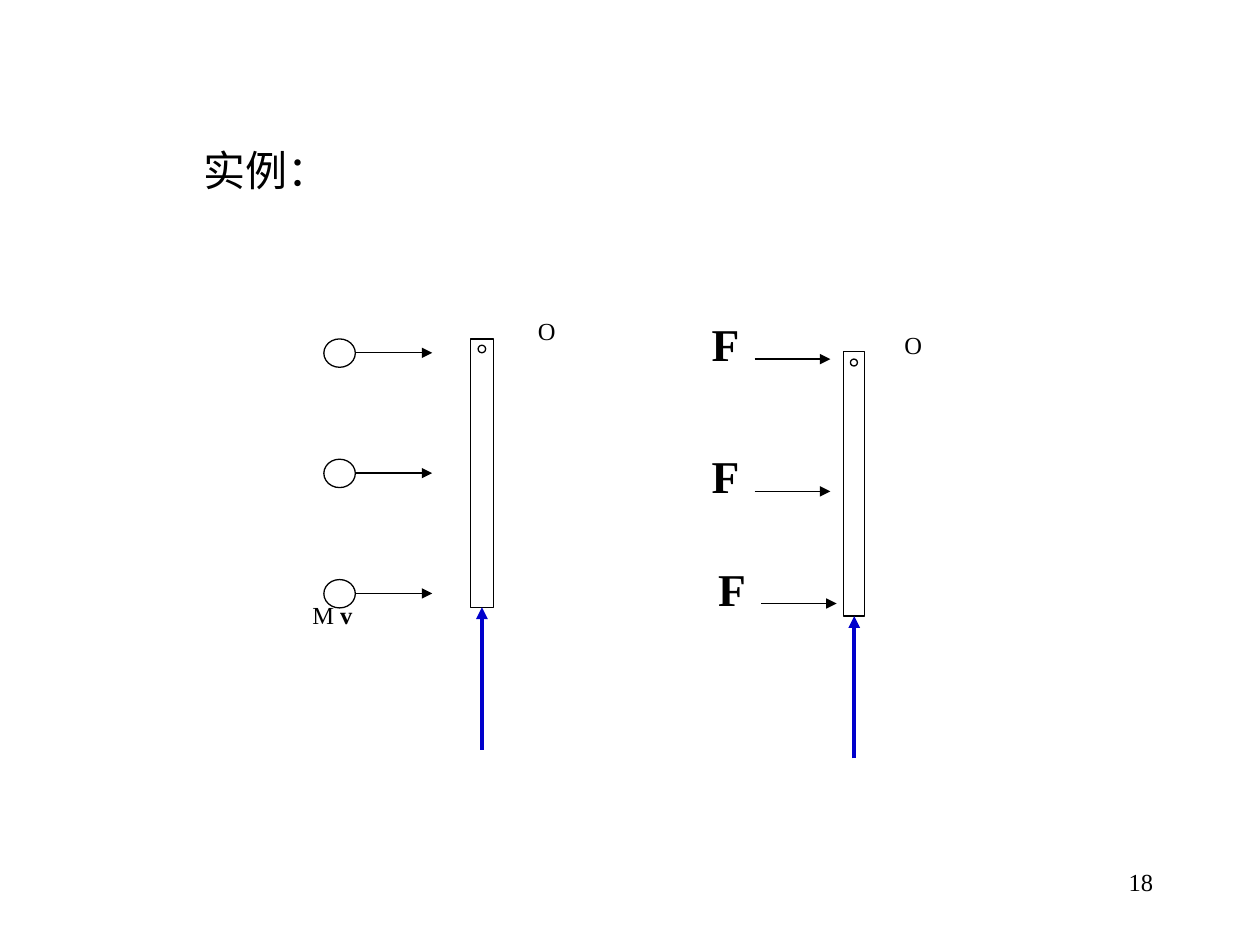
from lxml import etree
from pptx import Presentation
from pptx import util as u
from pptx.dml.color import RGBColor
from pptx.enum import shapes, text
from pptx.oxml.ns import qn

COLORS = {"ink": "000000", "paper": "FFFFFF", "force": "0000CC"}
LATIN, CHINESE = "Times New Roman", "Noto Sans CJK SC"
COLUMNS, ROWS = 100, 75


class Sketch:
    """Draws on one slide; every length is in columns and rows of its grid."""

    def __init__(self, deck):
        self.page = deck.slides.add_slide(deck.slide_layouts[6])
        self.cell_width = deck.slide_width / COLUMNS
        self.cell_height = deck.slide_height / ROWS
        self.end_group()

    def begin_group(self):
        self.target = self.page.shapes.add_group_shape().shapes

    def end_group(self):
        self.target = self.page.shapes

    def place(self, column, row):
        return u.Emu(round(column * self.cell_width)), u.Emu(round(row * self.cell_height))

    def color(self, name):
        return RGBColor.from_string(COLORS[name])

    def outline(self, kind, column, row, width, height):
        shape = self.target.add_shape(kind, *self.place(column, row), *self.place(width, height))
        shape.shadow.inherit = False
        shape.fill.solid()
        shape.fill.fore_color.rgb = self.color("paper")
        shape.line.color.rgb = self.color("ink")
        shape.line.width = u.Pt(0.75)

    def circle(self, *frame):
        self.outline(shapes.MSO_SHAPE.OVAL, *frame)

    def bar(self, *frame):
        self.outline(shapes.MSO_SHAPE.RECTANGLE, *frame)

    def arrow(self, start, end, color="ink", weight=0.75):
        line = self.target.add_connector(
            shapes.MSO_CONNECTOR.STRAIGHT, *self.place(*start), *self.place(*end))
        line.line.color.rgb = self.color(color)
        line.line.width = u.Pt(weight)
        etree.SubElement(line.line._get_or_add_ln(), qn("a:tailEnd"), type="triangle")
        etree.SubElement(line._element.spPr, qn("a:effectLst"))

    def label(self, words, column, row, width, height, size=14, bold=False, font=LATIN,
              align=text.PP_ALIGN.LEFT, anchor=text.MSO_ANCHOR.TOP, wrap=True):
        box = self.target.add_textbox(*self.place(column, row), *self.place(width, height))
        box.text_frame.word_wrap = wrap
        box.text_frame.vertical_anchor = anchor
        para = box.text_frame.paragraphs[0]
        para.alignment = align
        para.font.size = u.Pt(size)
        para.font.bold = bold
        para.font.name = font
        para.font.color.rgb = self.color("ink")
        span = para.add_run()
        span.text = words
        if font == CHINESE:
            etree.SubElement(span._r.get_or_add_rPr(), qn("a:ea"), typeface=font)
        return para


def draw_ball_impacts(sketch):
    sketch.begin_group()
    for step in range(3):
        top = 26.9 + 9.55 * step
        sketch.circle(25.7, top, 2.5, 2.25)
        sketch.arrow((28.2, top + 1.1), (34.3, top + 1.1))
    speed = sketch.label("M ", 23.8, 47.1, 13.5, 6.2).add_run()
    speed.text = "v"
    speed.font.bold = True
    sketch.bar(37.35, 26.9, 1.8, 21.3)
    sketch.circle(37.95, 27.4, 0.6, 0.6)
    sketch.label("O", 41.7, 24.6, 6.8, 6.7)
    sketch.end_group()


def draw_force_impacts(sketch):
    sketch.begin_group()
    sketch.bar(66.95, 27.9, 1.65, 21)
    sketch.circle(67.5, 28.5, 0.55, 0.55)
    sketch.label("O", 70.8, 25.7, 6, 6.6)
    for left, top in ((55.5, 24.6), (55.5, 35.1), (56, 44)):
        sketch.label("F", left, top, 8.2, 6.6, size=26, bold=True)
        sketch.arrow((left + 4.4, top + 3.9), (left + 10.4, top + 3.9))
    sketch.end_group()


def main():
    deck = Presentation()
    deck.slide_width, deck.slide_height = u.Inches(10), u.Inches(7.5)
    sketch = Sketch(deck)
    sketch.label("18", 71.7, 68.3, 20.8, 5, align=text.PP_ALIGN.RIGHT)
    draw_ball_impacts(sketch)
    draw_force_impacts(sketch)
    sketch.label("实例：", 15.2, 7.4, 12.1, 12.1, size=24, font=CHINESE,
                 anchor=text.MSO_ANCHOR.MIDDLE, wrap=False)
    for column, bar_end in ((38.25, 48.2), (67.8, 48.9)):
        sketch.arrow((column, bar_end + 11.3), (column, bar_end), "force", 2.25)
    deck.save("out.pptx")


if __name__ == "__main__":
    main()
